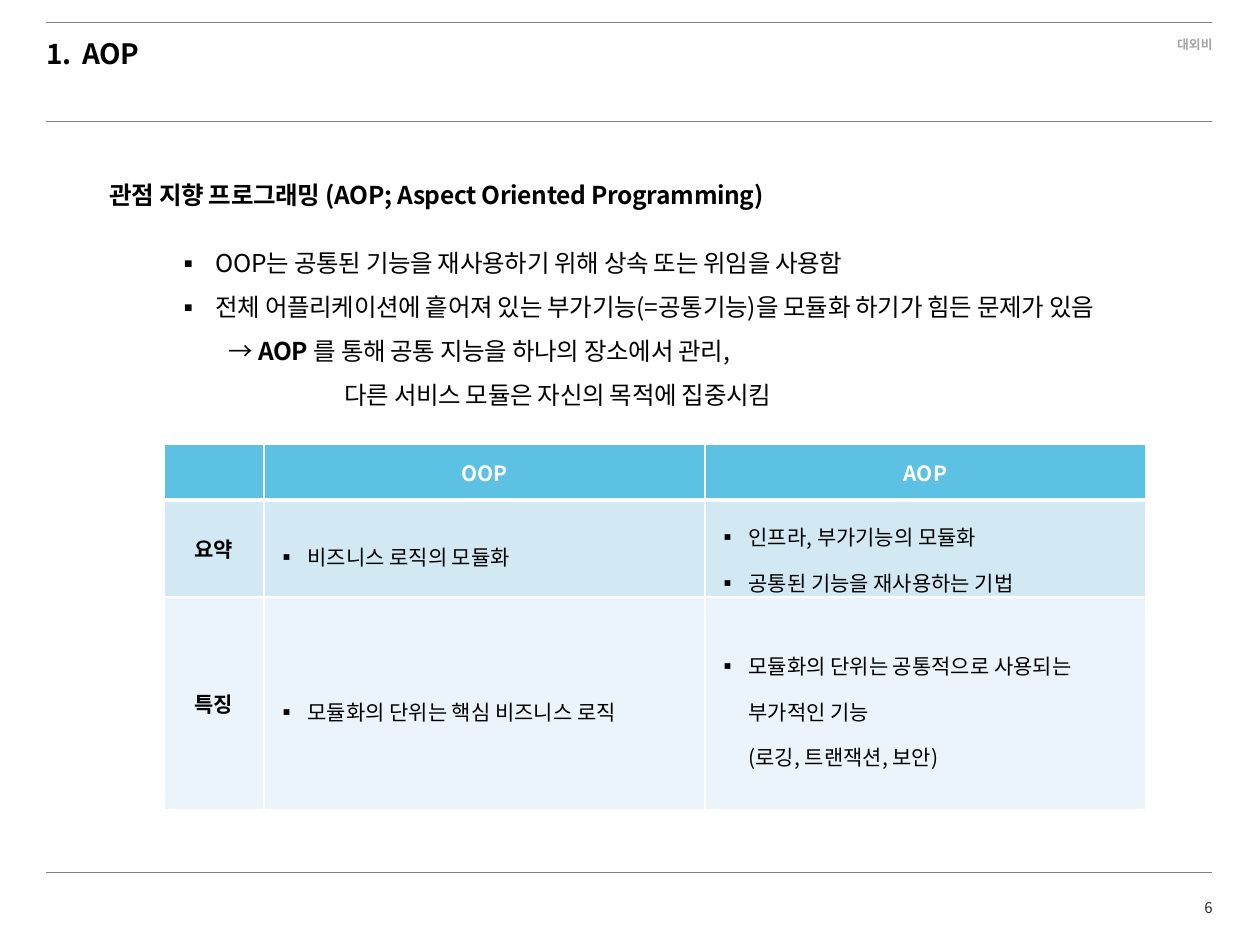
import pptx
import pptx.dml.color
import pptx.enum.shapes
import pptx.enum.text
import pptx.oxml
import pptx.oxml.ns
import pptx.util

PX = 914400 / 126
FONT = "Noto Sans CJK KR"
BLACK = pptx.dml.color.RGBColor(0x00, 0x00, 0x00)
WHITE = pptx.dml.color.RGBColor(0xFF, 0xFF, 0xFF)
RULE_GREY = pptx.dml.color.RGBColor(0x80, 0x80, 0x80)
LABEL_GREY = pptx.dml.color.RGBColor(0xA6, 0xA6, 0xA6)
PAGE_GREY = pptx.dml.color.RGBColor(0x26, 0x26, 0x26)
HEADER_BLUE = pptx.dml.color.RGBColor(0x5D, 0xC1, 0xE3)
SUMMARY_BLUE = pptx.dml.color.RGBColor(0xD2, 0xE9, 0xF4)
FEATURE_BLUE = pptx.dml.color.RGBColor(0xEA, 0xF4, 0xFA)
LEFT = pptx.enum.text.PP_ALIGN.LEFT
CENTER = pptx.enum.text.PP_ALIGN.CENTER
RIGHT = pptx.enum.text.PP_ALIGN.RIGHT
MIDDLE = pptx.enum.text.MSO_ANCHOR.MIDDLE


def emu(px):
    """Turn px into EMU."""
    return pptx.util.Emu(round(px * PX))


def child(parent, tag, **attributes):
    """Append a DrawingML element with the given attributes."""
    element = pptx.oxml.parse_xml(f"<a:{tag} {pptx.oxml.ns.nsdecls('a')}/>")
    for name, value in attributes.items():
        element.set(name, str(value))
    parent.append(element)
    return element


def write(frame, text, size=14, color=BLACK, bold=False, align=LEFT, spacing=None,
          bullet=None, margin=0, hang=0, track=0, emphasis=None):
    """Write one paragraph into a text frame, with one word optionally bold."""
    paragraph = frame.paragraphs[0]
    if paragraph.runs:
        paragraph = frame.add_paragraph()
    properties = paragraph._p.get_or_add_pPr()
    if margin:
        properties.set("marL", str(emu(margin)))
        properties.set("indent", str(-emu(hang)))
    if bullet:
        child(properties, "buFont", typeface=FONT)
        child(properties, "buChar", char=bullet)
    paragraph.alignment = align
    if spacing:
        paragraph.line_spacing = spacing
    before, word, after = text.partition(emphasis) if emphasis else (text, "", "")
    for part, strong in ((before, bold), (word, True), (after, bold)):
        for index, line in enumerate(part.split("\n")):
            if index:
                paragraph.add_line_break()
            if not line:
                continue
            run = paragraph.add_run()
            run.text = line
            run.font.size = pptx.util.Pt(size)
            run.font.bold = strong
            run.font.color.rgb = color
            run.font.name = FONT
            child(run._r.rPr, "ea", typeface=FONT)
            if track:
                run._r.rPr.set("spc", str(track))


def text_frame(slide, box, anchor=None):
    """Add a wrapping text box and return its frame."""
    frame = slide.shapes.add_textbox(*map(emu, box)).text_frame
    frame.word_wrap = True
    if anchor is not None:
        frame.vertical_anchor = anchor
    return frame


def add_rule(slide, left, top, width):
    """Draw one thin horizontal rule."""
    rule = slide.shapes.add_connector(
        pptx.enum.shapes.MSO_CONNECTOR.STRAIGHT,
        emu(left), emu(top), emu(left + width), emu(top))
    rule.line.color.rgb = RULE_GREY
    rule.line.width = pptx.util.Pt(0.25)
    child(rule._element.spPr, "effectLst")


def add_header(slide, left, top, width, height):
    """Place the title and the confidentiality label between two rules."""
    for y in (top, top + height):
        add_rule(slide, left, y, width)
    label = text_frame(slide, (left + width - 115, top + 2, 128, 34))
    write(label, "대외비", size=7.3, color=LABEL_GREY, bold=True, align=RIGHT, spacing=1.4)
    title = text_frame(slide, (left - 12, top + 2, 582, 94))
    write(title, "1.\tAOP", size=16, bold=True, spacing=pptx.util.Pt(23),
          margin=36, hang=36, track=-20)


def add_footer(slide, left, top, width):
    """Place the bottom rule and the page number."""
    add_rule(slide, left, top, width)
    page = text_frame(slide, (left + width - 253, top + 19, 266, 34), MIDDLE)
    write(page, "6", size=8.5, color=PAGE_GREY, align=RIGHT)


def add_explanation(slide, left, top, width):
    """Place the topic heading and the points under it."""
    heading = text_frame(slide, (left, top, width, 52))
    write(heading, "관점 지향 프로그래밍 (AOP; Aspect Oriented Programming)",
          bold=True, spacing=1.5, track=-20)
    points = text_frame(slide, (left + 67, top + 68, width + 34, 190))
    for text in ("OOP는 공통된 기능을 재사용하기 위해 상속 또는 위임을 사용함",
                 "전체 어플리케이션에 흩어져 있는 부가기능(=공통기능)을 모듈화 하기가 힘든 문제가 있음"):
        write(points, text, spacing=1.5, bullet="▪", margin=39, hang=39, track=-20)
    write(points, "→ AOP 를 통해 공통 지능을 하나의 장소에서 관리,",
          spacing=1.5, margin=52, track=-20, emphasis="AOP")
    write(points, "다른 서비스 모듈은 자신의 목적에 집중시킴", spacing=1.5, margin=168, track=-20)


def style_cell(cell, fill, top=1, bottom=1):
    """Set the fill and the white borders of a cell."""
    cell.vertical_anchor = MIDDLE
    properties = cell._tc.get_or_add_tcPr()
    for tag, points in (("lnL", 1), ("lnR", 1), ("lnT", top), ("lnB", bottom)):
        border = child(properties, tag, w=pptx.util.Pt(points))
        child(child(border, "solidFill"), "srgbClr", val=WHITE)
    cell.fill.solid()
    cell.fill.fore_color.rgb = fill


def add_comparison(slide, left, top, width, height):
    """Place the table that compares OOP with AOP."""
    rows = (
        (HEADER_BLUE, 56, "", ("OOP",), ("AOP",)),
        (SUMMARY_BLUE, 97, "요약", ("비즈니스 로직의 모듈화",),
         ("인프라, 부가기능의 모듈화", "공통된 기능을 재사용하는 기법")),
        (FEATURE_BLUE, 213, "특징", ("모듈화의 단위는 핵심 비즈니스 로직",),
         ("모듈화의 단위는 공통적으로 사용되는 부가적인 기능\n(로깅, 트랜잭션, 보안)",)),
    )
    table = slide.shapes.add_table(3, 3, *map(emu, (left, top, width, height))).table
    for column, column_width in zip(table.columns, (100, 441, 441)):
        column.width = emu(column_width)
    for r, (fill, row_height, name, *entries) in enumerate(rows):
        table.rows[r].height = emu(row_height)
        for c, texts in enumerate(((name,), *entries)):
            cell = table.cell(r, c)
            style_cell(cell, fill, top=3 if r == 1 else 1, bottom=3 if r == 0 else 1)
            for text in texts:
                if r == 0 or c == 0:
                    write(cell.text_frame, text, size=12, bold=True, align=CENTER,
                          color=BLACK if r else WHITE)
                else:
                    write(cell.text_frame, text, size=12, spacing=1.5,
                          bullet="▪", margin=31, hang=31)


def main():
    """Build the slide and save it."""
    deck = pptx.Presentation()
    deck.slide_width, deck.slide_height = emu(1260), emu(945)
    slide = deck.slides.add_slide(deck.slide_layouts[6])
    add_header(slide, 46, 22, 1166, 99)
    add_explanation(slide, 97, 159, 1048)
    add_comparison(slide, 164, 444, 982, 366)
    add_footer(slide, 46, 872, 1166)
    deck.save("out.pptx")


if __name__ == "__main__":
    main()
